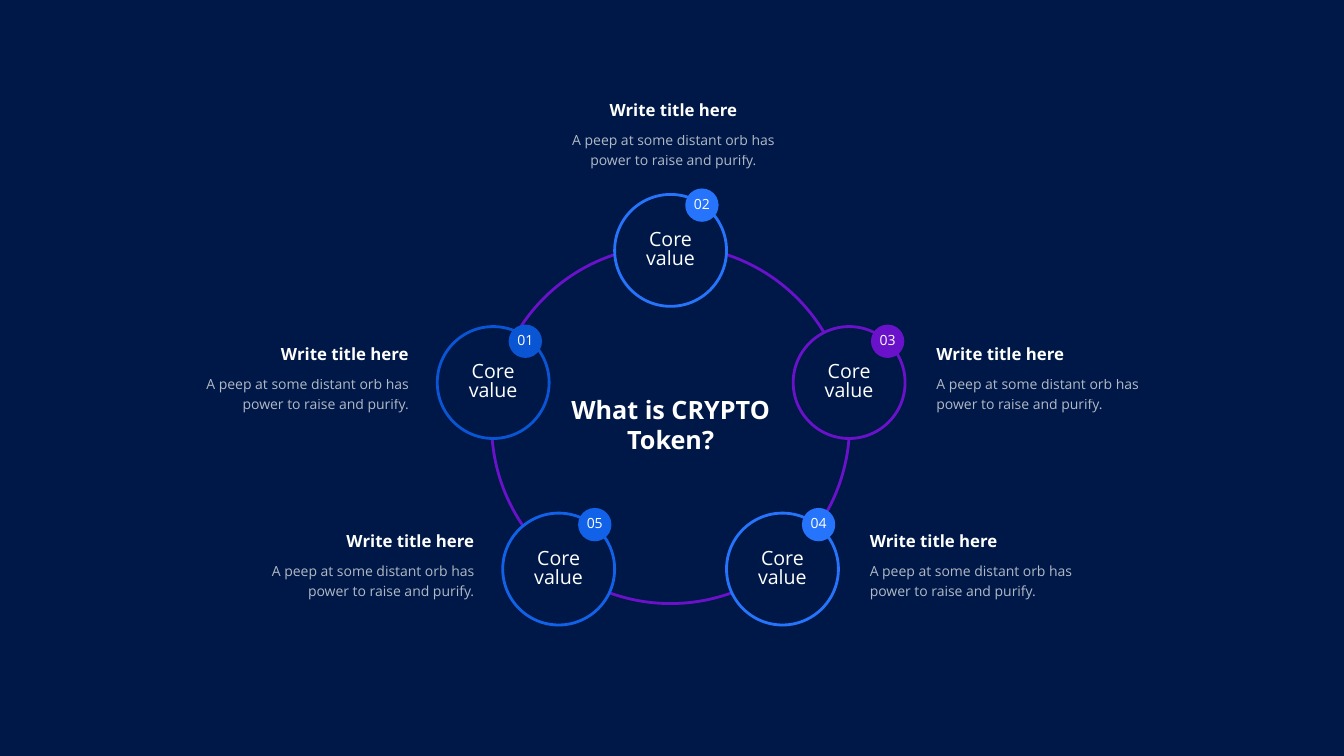
from dataclasses import dataclass

from lxml.etree import SubElement
from pptx import Presentation
from pptx.dml.color import RGBColor
from pptx.enum.shapes import MSO_SHAPE
from pptx.enum.text import MSO_ANCHOR, MSO_AUTO_SIZE, PP_ALIGN
from pptx.oxml.ns import qn
from pptx.util import Cm, Pt

COLORS = {
    "navy": "001847", "white": "FEFFFE", "number": "FFFFFF",
    "sky": "2574FB", "azure": "1162E8", "royal": "0A55D3", "violet": "6A11CA",
}
FONT = "Open Sans"
CX, CY = 16.9, 10.7          # ring centre, cm
RING, NODE, BADGE = 9.02, 2.82, 0.84
UPPER, LOWER = 9.64, 14.34   # heights of the two node rows
CAPTION_W, CAPTION_H = 5.28, 2.11
TITLE_W, TITLE_H = 6.37, 2.6

# Caption corner relative to its node centre, by alignment
CAPTION_OFFSET = {
    PP_ALIGN.LEFT: (2.2, -1.2),
    PP_ALIGN.RIGHT: (-2.13 - CAPTION_W, -1.2),
    PP_ALIGN.CENTER: (-2.57, -4.02),
}


@dataclass
class Value:
    number: str
    x: float
    y: float
    color: str
    badge_dx: float
    badge_dy: float
    align: PP_ALIGN


VALUES = [
    Value("01", CX - 4.47, UPPER, "royal", 0.81, -1.04, PP_ALIGN.RIGHT),
    Value("02", CX, 6.31, "sky", 0.79, -1.14, PP_ALIGN.CENTER),
    Value("03", CX + 4.5, UPPER, "violet", 0.97, -1.04, PP_ALIGN.LEFT),
    Value("04", CX + 2.82, LOWER, "sky", 0.91, -1.12, PP_ALIGN.LEFT),
    Value("05", CX - 2.82, LOWER, "azure", 0.91, -1.12, PP_ALIGN.RIGHT),
]


def rgb(name: str) -> RGBColor:
    return RGBColor.from_string(COLORS[name])


def write(p, text: str, size: float, color: str = "white", bold: bool = False,
          **layout):
    """Fill a paragraph with one run and set its layout."""
    for name, value in layout.items():
        setattr(p, name, value)
    r = p.add_run()
    r.text = text
    for name, value in {"name": FONT, "size": Pt(size), "bold": bold}.items():
        setattr(r.font, name, value)
    r.font.color.rgb = rgb(color)
    return r


def set_frame(tf, **settings) -> None:
    for name, value in {"word_wrap": True, **settings}.items():
        setattr(tf, name, value)


def add_circle(slide, x: float, y: float, d: float, fill: str | None = None,
               line: str | None = None):
    """Draw a circle around a centre given in cm."""
    sp = slide.shapes.add_shape(MSO_SHAPE.OVAL, Cm(x - d / 2), Cm(y - d / 2),
                                Cm(d), Cm(d))
    sp.shadow.inherit = False
    if fill:
        sp.fill.solid()
        sp.fill.fore_color.rgb = rgb(fill)
    else:
        sp.fill.background()
    if line:
        sp.line.color.rgb = rgb(line)
        sp.line.width = Pt(2)
    else:
        sp.line.fill.background()
    set_frame(sp.text_frame, vertical_anchor=MSO_ANCHOR.MIDDLE)
    return sp


def add_node(slide, v: Value) -> None:
    sp = add_circle(slide, v.x, v.y, NODE, fill="navy", line=v.color)
    write(sp.text_frame.paragraphs[0], "Core value", 14,
          alignment=PP_ALIGN.CENTER, line_spacing=0.8)


def add_badge(slide, v: Value) -> None:
    sp = add_circle(slide, v.x + v.badge_dx, v.y + v.badge_dy, BADGE, fill=v.color)
    set_frame(sp.text_frame, margin_left=0, margin_right=0, margin_top=0,
              margin_bottom=0)
    write(sp.text_frame.paragraphs[0], v.number, 10, "number",
          alignment=PP_ALIGN.CENTER, line_spacing=0.8)


def add_caption(slide, v: Value) -> None:
    dx, dy = CAPTION_OFFSET[v.align]
    box = slide.shapes.add_textbox(Cm(v.x + dx), Cm(v.y + dy),
                                   Cm(CAPTION_W), Cm(CAPTION_H))
    tf = box.text_frame
    set_frame(tf, margin_left=0, margin_right=0,
              auto_size=MSO_AUTO_SIZE.SHAPE_TO_FIT_TEXT)
    layout = {"alignment": v.align, "line_spacing": 1.2}
    write(tf.paragraphs[0], "Write title here", 12, bold=True, **layout)
    r = write(tf.add_paragraph(),
              "A peep at some distant orb has power to raise and purify.",
              10, space_before=Pt(6), **layout)
    # 70 % opacity
    clr = r.font.fill._xPr.find(qn("a:solidFill")).find(qn("a:srgbClr"))
    SubElement(clr, qn("a:alpha"), val="70000")


def main() -> None:
    prs = Presentation()
    prs.slide_width, prs.slide_height = Cm(33.87), Cm(19.05)
    s = prs.slides.add_slide(prs.slide_layouts[5])
    s.background.fill.solid()
    s.background.fill.fore_color.rgb = rgb("navy")

    # Title in the middle of the ring
    title = s.shapes.title
    title.left, title.top = Cm(CX - TITLE_W / 2), Cm(CY - TITLE_H / 2)
    title.width, title.height = Cm(TITLE_W), Cm(TITLE_H)
    set_frame(title.text_frame, vertical_anchor=MSO_ANCHOR.MIDDLE,
              auto_size=MSO_AUTO_SIZE.NONE)
    write(title.text_frame.paragraphs[0], "What is CRYPTO Token?", 18, bold=True,
          alignment=PP_ALIGN.CENTER)

    # Ring, then nodes, badges and captions
    add_circle(s, CX, CY, RING, line="violet")
    for draw in (add_node, add_badge, add_caption):
        for v in VALUES:
            draw(s, v)

    prs.save("out.pptx")


if __name__ == "__main__":
    main()
